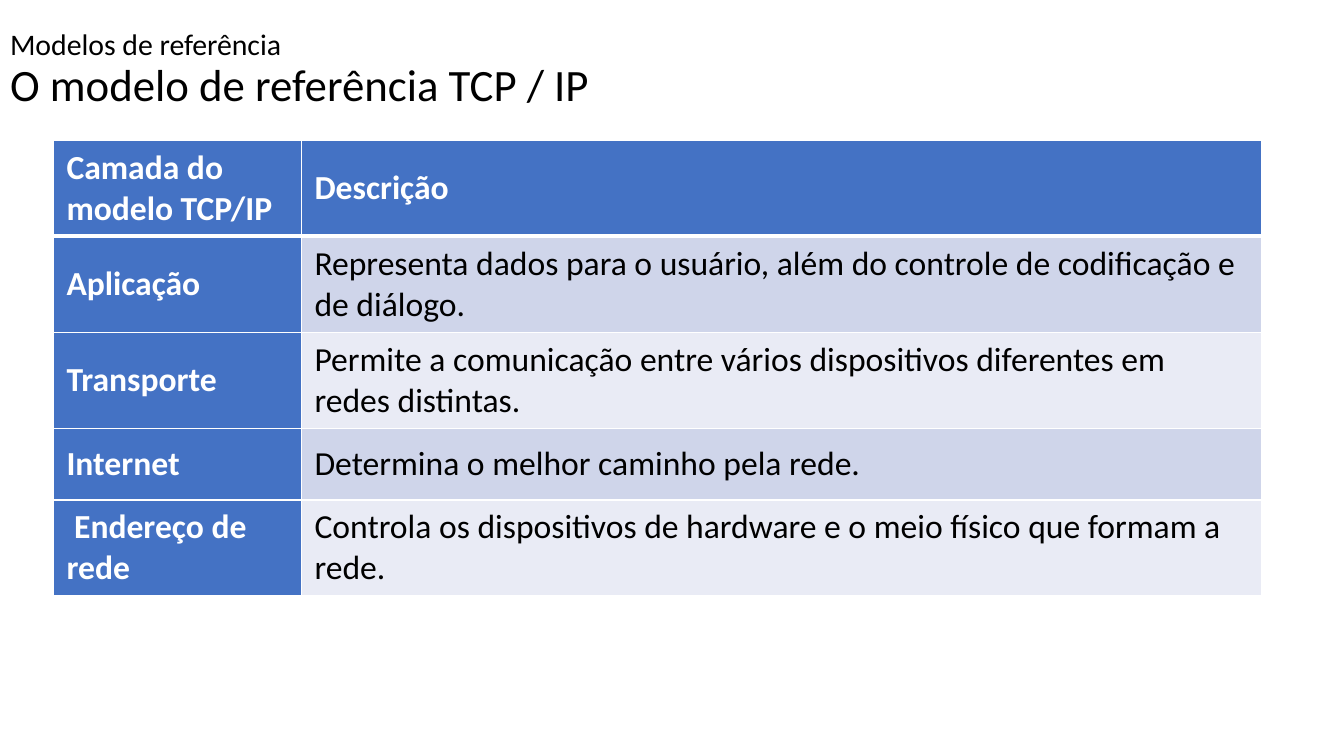
import pptx
import pptx.dml.color
import pptx.enum.text
import pptx.oxml
import pptx.oxml.ns
import pptx.util
from pptx.util import Inches

COLORS = {
    "background": "FFFFFF",
    "title": "000000",
    "header": "4472C4",
    "header_text": "FFFFFF",
    "body_text": "000000",
    "odd_row": "CFD5EA",
    "even_row": "E9EBF5",
    "border": "FFFFFF",
}
FONT = "Calibri"
LAYERS = [
    ("Camada do modelo TCP/IP", "Descrição"),
    ("Aplicação", "Representa dados para o usuário, além do controle de codificação e de diálogo."),
    ("Transporte", "Permite a comunicação entre vários dispositivos diferentes em redes distintas."),
    ("Internet", "Determina o melhor caminho pela rede."),
    (" Endereço de rede", "Controla os dispositivos de hardware e o meio físico que formam a rede."),
]
ROW_HEIGHTS = [0.93, 0.93, 0.93, 0.71, 0.93]
NAME_WIDTH = 2.46


def rgb(name):
    """Return the named colour."""
    return pptx.dml.color.RGBColor.from_string(COLORS[name])


def apply_format(target, values):
    """Set each attribute of the target from a dict."""
    for attribute, value in values.items():
        setattr(target, attribute, value)


def format_font(font, size, color, bold=False):
    """Set the typeface, size, weight and colour of a font."""
    apply_format(font, {"name": FONT, "size": pptx.util.Pt(size), "bold": bold})
    font.color.rgb = rgb(color)


def add_borders(cell, widths):
    """Draw the four sides of a cell with the given point widths."""
    properties = cell._tc.get_or_add_tcPr()
    for side, width in widths.items():
        properties.append(pptx.oxml.parse_xml(
            f'<a:ln{side} {pptx.oxml.ns.nsdecls("a")} w="{pptx.util.Pt(width)}">'
            f'<a:solidFill><a:srgbClr val="{COLORS["border"]}"/></a:solidFill>'
            f'</a:ln{side}>'))


def build_title(slide, left, top, width, height):
    """Place the section name and the slide title in the title placeholder."""
    title = slide.shapes.title
    apply_format(title, {"left": Inches(left), "top": Inches(top),
                         "width": Inches(width), "height": Inches(height)})
    apply_format(title.text_frame, {
        "word_wrap": True,
        "auto_size": pptx.enum.text.MSO_AUTO_SIZE.NONE,
        "vertical_anchor": pptx.enum.text.MSO_ANCHOR.MIDDLE,
    })
    heading = title.text_frame.paragraphs[0]
    apply_format(heading, {"alignment": pptx.enum.text.PP_ALIGN.LEFT, "line_spacing": 0.9})
    section = heading.add_run()
    section.text = "Modelos de referência"
    format_font(section.font, 21.3, "title")
    heading.add_line_break()
    topic = heading.add_run()
    topic.text = "O modelo de referência TCP / IP"
    format_font(topic.font, 32, "title")


def build_cell(cell, text, row, column):
    """Fill and format one cell according to its place in the table."""
    is_header = row == 0 or column == 0
    cell.text = text
    apply_format(cell, {
        "vertical_anchor": pptx.enum.text.MSO_ANCHOR.MIDDLE,
        "margin_left": Inches(0.13), "margin_right": Inches(0.13),
        "margin_top": Inches(0.07), "margin_bottom": Inches(0.07),
    })
    add_borders(cell, {"L": 1, "R": 1, "T": 1, "B": 3 if row == 0 else 1})
    cell.fill.solid()
    band = "odd_row" if row % 2 else "even_row"
    cell.fill.fore_color.rgb = rgb("header" if is_header else band)
    run = cell.text_frame.paragraphs[0].runs[0]
    format_font(run.font, 24, "header_text" if is_header else "body_text", is_header)


def build_layer_table(slide, left, top, width):
    """Place the table of TCP/IP layers and their descriptions."""
    layers = slide.shapes.add_table(
        len(LAYERS), 2, Inches(left), Inches(top), Inches(width),
        Inches(sum(ROW_HEIGHTS))).table
    apply_format(layers, {"first_row": True, "first_col": True, "horz_banding": True})
    for column, column_width in zip(layers.columns, (NAME_WIDTH, width - NAME_WIDTH)):
        column.width = Inches(column_width)
    for row, (height, texts) in enumerate(zip(ROW_HEIGHTS, LAYERS)):
        layers.rows[row].height = Inches(height)
        for column, text in enumerate(texts):
            build_cell(layers.cell(row, column), text, row, column)


def main():
    """Build and save the presentation."""
    presentation = pptx.Presentation()
    apply_format(presentation, {"slide_width": Inches(13.33), "slide_height": Inches(7.5)})
    slide = presentation.slides.add_slide(presentation.slide_layouts[5])
    slide.background.fill.solid()
    slide.background.fill.fore_color.rgb = rgb("background")
    build_title(slide, 0, 0.15, 12.81, 1.1)
    build_layer_table(slide, 0.53, 1.39, 11.98)
    presentation.save("out.pptx")


if __name__ == "__main__":
    main()
